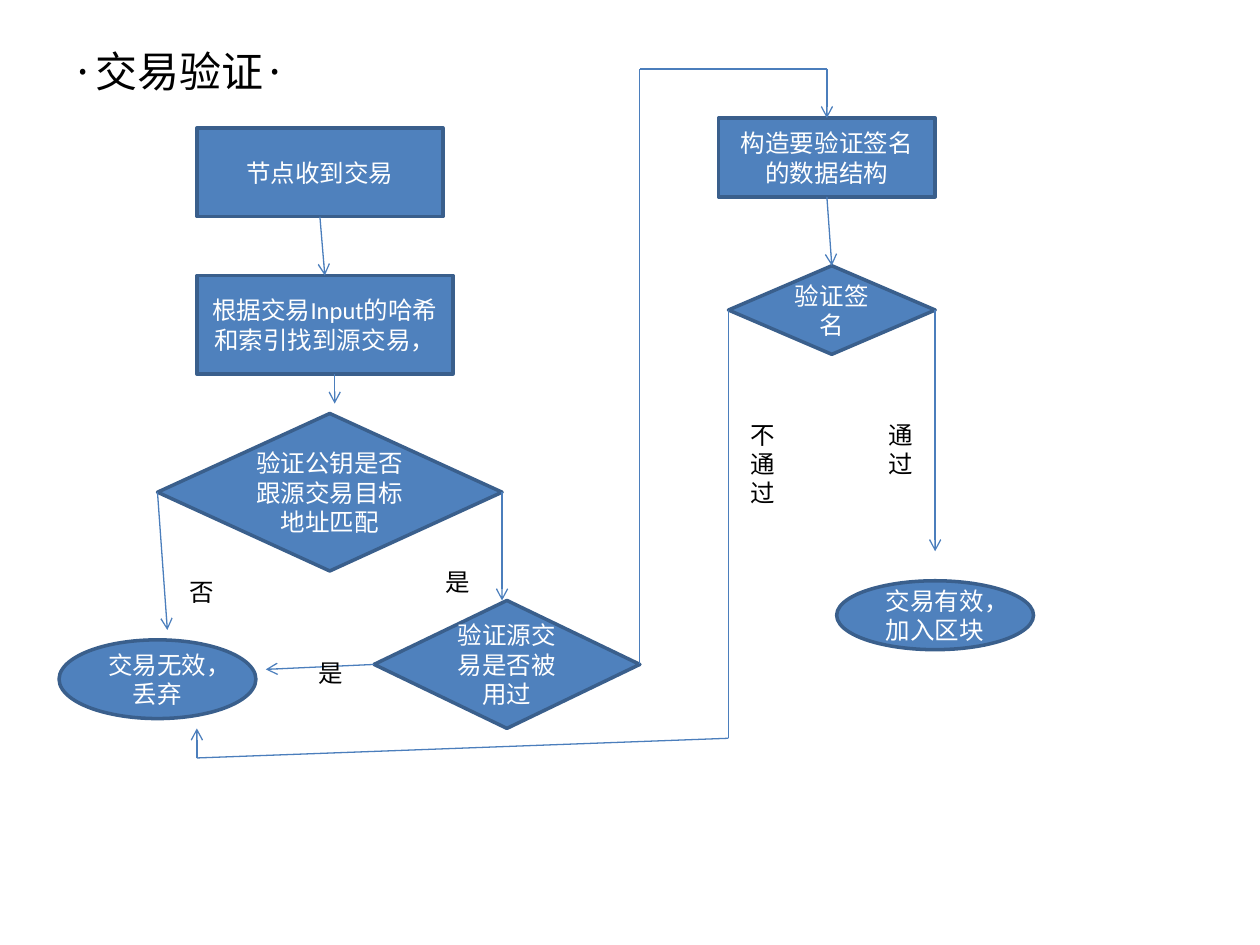
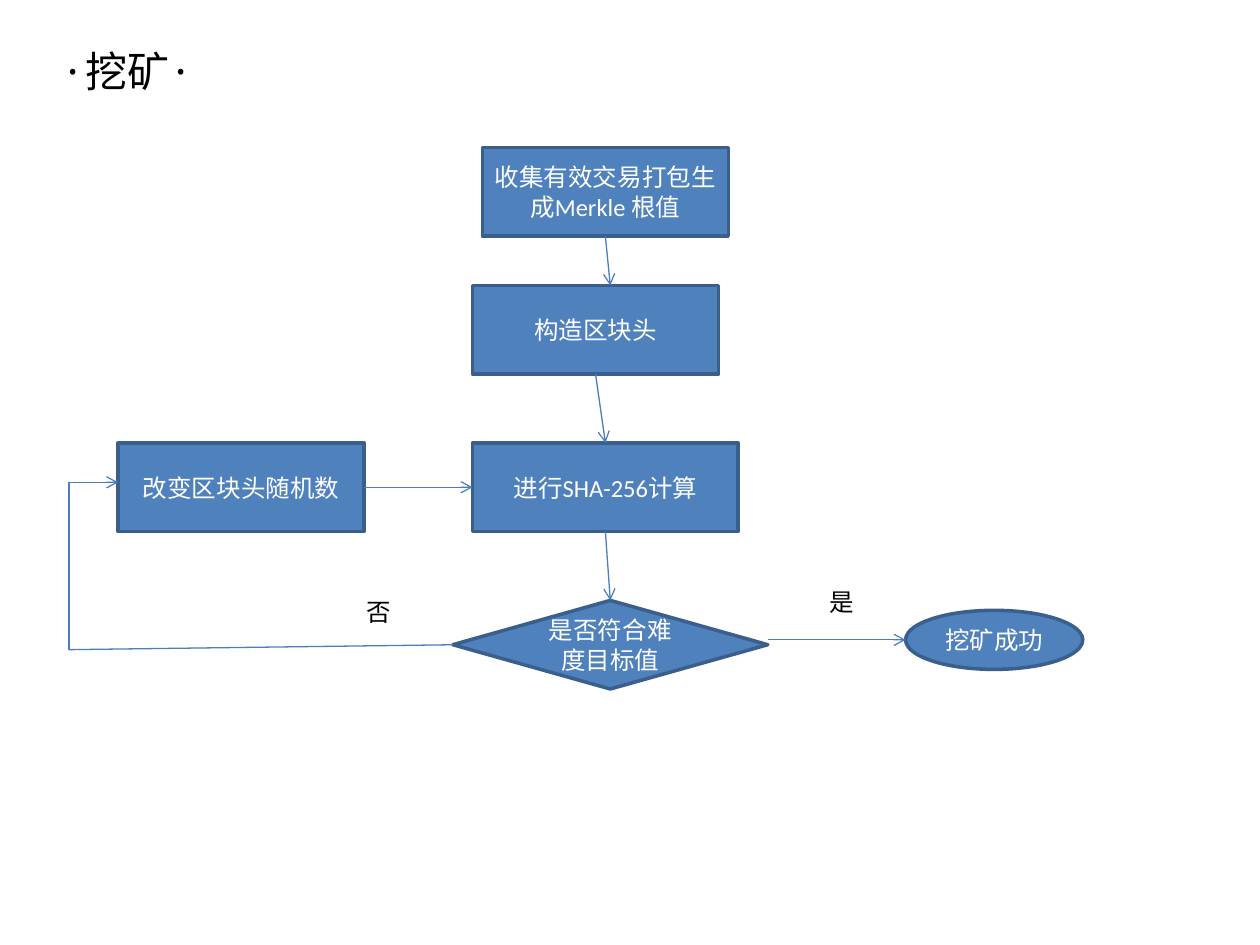
from lxml import etree
from pptx import Presentation
from pptx.dml.color import RGBColor
from pptx.enum.lang import MSO_LANGUAGE_ID
from pptx.enum.shapes import MSO_CONNECTOR, MSO_SHAPE
from pptx.enum.text import MSO_ANCHOR, MSO_AUTO_SIZE, PP_ALIGN
from pptx.oxml.ns import qn
from pptx.util import Pt

PX = 914400 // 128  # 128 px to the inch
COLORS = {"fill": "4F81BD", "border": "3A5F8C", "arrow": "4B7EBC",
          "text": "000000", "node_text": "FFFFFF"}
LATIN, CHINESE = "Calibri", "Noto Sans CJK JP"
CHINA = MSO_LANGUAGE_ID.SIMPLIFIED_CHINESE
STRAIGHT = MSO_CONNECTOR.STRAIGHT
RECT, PROCESS = MSO_SHAPE.RECTANGLE, MSO_SHAPE.FLOWCHART_PROCESS
DECISION, OVAL = MSO_SHAPE.FLOWCHART_DECISION, MSO_SHAPE.OVAL

# nodes: preset, left, top, width, height, text
# labels: left, top, width, height, wrap, text
# routes: corner points, with the arrowhead at the last one
VERIFICATION = {
    "title": (60, 40, 450, 64, "·交易验证·"),
    "nodes": [
        (RECT, 200, 130, 250, 90, "节点收到交易"),
        (PROCESS, 200, 280, 260, 100, "根据交易Input的哈希和索引找到源交易，"),
        (DECISION, 160, 420, 350, 160, "验证公钥是否跟源交易目标地址匹配"),
        (OVAL, 60, 650, 200, 80, "交易无效，丢弃"),
        (DECISION, 380, 610, 270, 130, "验证源交易是否被用过"),
        (RECT, 730, 120, 220, 80, "构造要验证签名的数据结构"),
        (DECISION, 740, 270, 210, 90, "验证签名"),
        (OVAL, 850, 590, 200, 70, "交易有效，加入区块"),
    ],
    "labels": [
        (180, 580, 60, 44, True, "否"),
        (440, 570, 60, 44, True, "是"),
        (311, 662, 60, 44, True, "是"),
        (750, 420, 60, 104, True, "不通过"),
        (890, 420, 60, 73, True, "通过"),
    ],
    "routes": [
        [(325, 220), (330, 280)],
        [(340, 380), (340, 410)],
        [(160, 500), (170, 640)],
        [(510, 500), (510, 610)],
        [(380, 675), (270, 680)],
        [(650, 675), (650, 70), (840, 70), (840, 120)],
        [(840, 200), (845, 270)],
        [(740, 315), (740, 750), (200, 770), (200, 740)],
        [(950, 315), (950, 560)],
    ],
}
MINING = {
    "title": (50, 40, 290, 64, "·挖矿·"),
    "nodes": [
        (RECT, 490, 150, 250, 90, "收集有效交易打包生成Merkle 根值"),
        (RECT, 480, 290, 250, 90, "构造区块头"),
        (RECT, 480, 450, 270, 90, "进行SHA-256计算"),
        (RECT, 120, 450, 250, 90, "改变区块头随机数"),
        (DECISION, 460, 610, 320, 90, "是否符合难度目标值"),
        (OVAL, 920, 620, 180, 60, "挖矿成功"),
    ],
    "labels": [
        (830, 590, 51, 44, False, "是"),
        (360, 600, 40, 44, True, "否"),
    ],
    "routes": [
        [(615, 240), (620, 290)],
        [(605, 380), (615, 450)],
        [(615, 540), (620, 610)],
        [(370, 495), (480, 495)],
        [(780, 650), (920, 650)],
        [(460, 655), (70, 660), (70, 490), (120, 490)],
    ],
}


def write_text(shape, text, size, latin, color, wrap=True):
    frame = shape.text_frame
    frame.text = text
    frame.word_wrap = wrap
    font = frame.paragraphs[0].runs[0].font
    font.size = Pt(size)
    font.name = latin
    font.color.rgb = RGBColor.from_string(COLORS[color])
    font.language_id = CHINA
    latin_element = font._element.find(qn("a:latin"))
    east_asian = etree.Element(qn("a:ea"), typeface=CHINESE)
    latin_element.addnext(east_asian)
    return frame


def add_line(slide, start, end, joints, arrowhead):
    ends = [value * PX for value in (*start, *end)]
    line = slide.shapes.add_connector(STRAIGHT, *ends)
    if start in joints:
        line.begin_connect(*joints[start])
    if end in joints:
        line.end_connect(*joints[end])
    line.line.color.rgb = RGBColor.from_string(COLORS["arrow"])
    line.line.width = Pt(0.75)
    if arrowhead:
        etree.SubElement(line.line._get_or_add_ln(), qn("a:tailEnd"), type="arrow")
    etree.SubElement(line._element.spPr, qn("a:effectLst"))


presentation = Presentation()
presentation.slide_width = 1280 * PX
presentation.slide_height = 960 * PX

for chart in (VERIFICATION, MINING):
    slide = presentation.slides.add_slide(presentation.slide_layouts[6])

    # Title
    *box, text = chart["title"]
    title = slide.shapes.add_textbox(*[value * PX for value in box])
    write_text(title, text, 24, CHINESE, "text")

    # Nodes, and the side middles where lines can join them
    joints = {}
    for preset, left, top, width, height, text in chart["nodes"]:
        box = (left, top, width, height)
        node = slide.shapes.add_shape(preset, *[value * PX for value in box])
        node.shadow.inherit = False
        node.fill.solid()
        node.fill.fore_color.rgb = RGBColor.from_string(COLORS["fill"])
        node.line.color.rgb = RGBColor.from_string(COLORS["border"])
        node.line.width = Pt(2)
        frame = write_text(node, text, 14, LATIN, "node_text")
        frame.vertical_anchor = MSO_ANCHOR.MIDDLE
        frame.paragraphs[0].alignment = PP_ALIGN.CENTER
        if preset != OVAL:
            middle_x, middle_y = left + width / 2, top + height / 2
            sides = [(middle_x, top), (left, middle_y),
                     (middle_x, top + height), (left + width, middle_y)]
            for index, point in enumerate(sides):
                joints[point] = (node, index)

    # Routes
    for route in chart["routes"]:
        for start, end in zip(route, route[1:]):
            add_line(slide, start, end, joints, arrowhead=end == route[-1])

    # Branch labels
    for *box, wrap, text in chart["labels"]:
        label = slide.shapes.add_textbox(*[value * PX for value in box])
        frame = write_text(label, text, 14, LATIN, "text", wrap)
        frame.auto_size = MSO_AUTO_SIZE.SHAPE_TO_FIT_TEXT

presentation.save("out.pptx")
